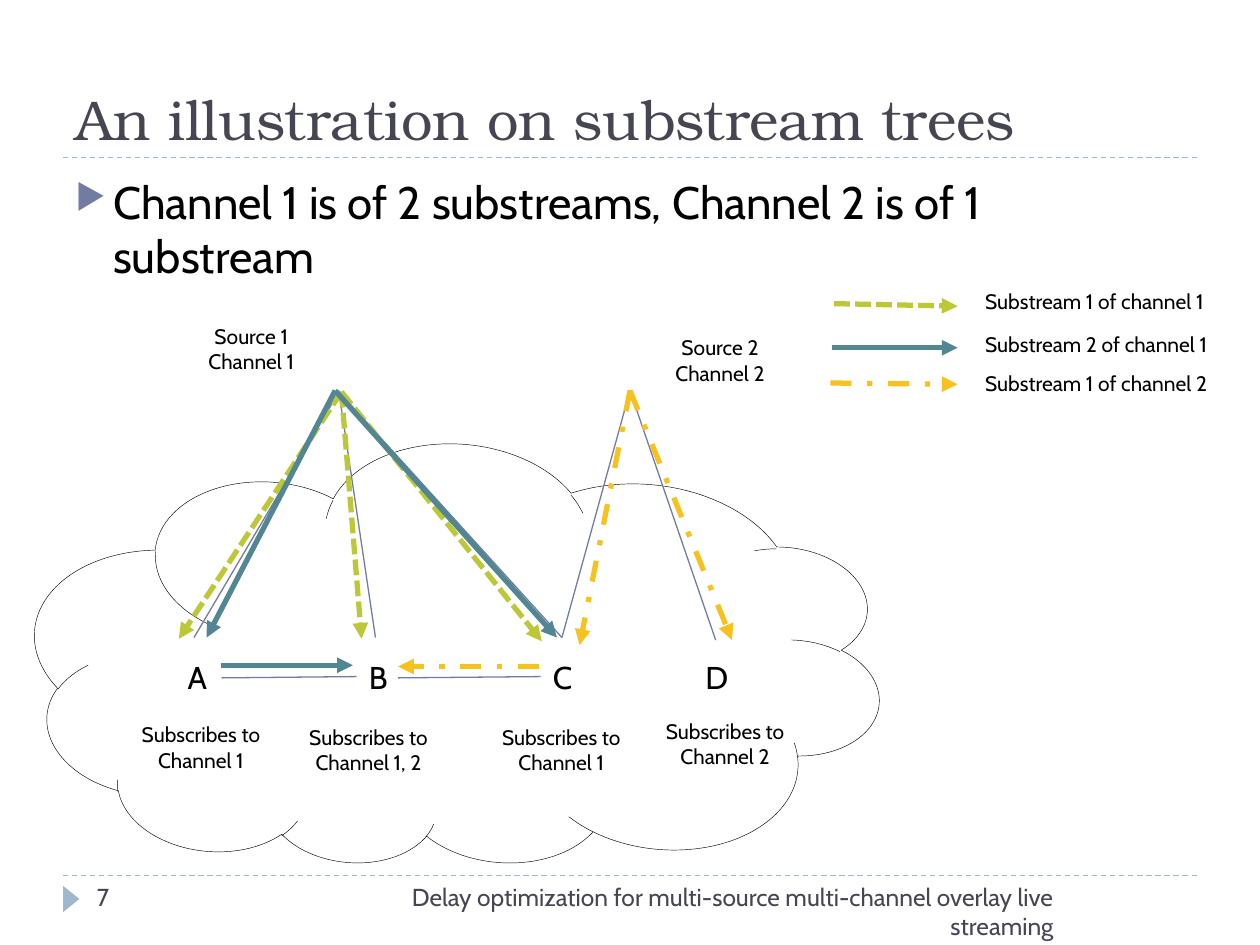
"""Build a slide that shows substream trees over an overlay network."""
from dataclasses import dataclass

from lxml.etree import SubElement
from pptx import Presentation
from pptx.dml.color import RGBColor
from pptx.enum.dml import MSO_LINE as Dash
from pptx.enum.shapes import MSO_CONNECTOR as Connector, MSO_SHAPE as Shape
from pptx.enum.text import MSO_ANCHOR as Anchor, MSO_AUTO_SIZE as AutoSize, PP_ALIGN as Align
from pptx.oxml.ns import qn
from pptx.util import Emu, Pt

PX = 9144


@dataclass(frozen=True)
class Theme:
    heading_font: str = "TeX Gyre Bonum"
    body_font: str = "Cabin"
    title_size: int = 32
    body_size: int = 26
    node_size: int = 18
    footer_size: int = 14
    label_size: int = 12
    heading: str = "464653"
    text: str = "000000"
    paper: str = "FFFFFF"
    rule: str = "9FB8CD"
    accent: str = "727CA3"
    green: str = "BCC838"
    teal: str = "528693"
    yellow: str = "F7C120"


def px(*lengths):
    return [Emu(length * PX) for length in lengths]


class SlideBuilder:
    def __init__(self, slide, theme):
        self.slide = slide
        self.theme = theme

    def text(self, box, content, size, color=None, font=None, align=Align.LEFT,
             anchor=Anchor.TOP, wrap=True, grow=False, bullet=False):
        shape = self.slide.shapes.add_textbox(*px(*box))
        frame = shape.text_frame
        frame.text = content
        frame.word_wrap = wrap
        frame.vertical_anchor = anchor
        frame.auto_size = AutoSize.SHAPE_TO_FIT_TEXT if grow else AutoSize.NONE
        for paragraph in frame.paragraphs:
            paragraph.alignment = align
            if bullet:
                self.add_bullet(paragraph)
            for run in paragraph.runs:
                run.font.name = font or self.theme.body_font
                run.font.size = Pt(size)
                run.font.color.rgb = RGBColor.from_string(color or self.theme.text)
        return shape

    def add_bullet(self, paragraph):
        properties = paragraph._p.get_or_add_pPr()
        indent = 30 * PX
        properties.set("marL", str(indent))
        properties.set("indent", str(-indent))
        color = SubElement(properties, qn("a:buClr"))
        SubElement(color, qn("a:srgbClr"), val=self.theme.accent)
        SubElement(properties, qn("a:buSzPct"), val="76000")
        SubElement(properties, qn("a:buChar"), char="▶")

    def label(self, box, content, align=Align.CENTER):
        return self.text(box, content, self.theme.label_size, align=align, grow=True)

    def shape(self, kind, box, fill, rotation, outline=None):
        shape = self.slide.shapes.add_shape(kind, *px(*box))
        shape.shadow.inherit = False
        shape.rotation = rotation
        shape.fill.solid()
        shape.fill.fore_color.rgb = RGBColor.from_string(fill)
        if outline:
            shape.line.color.rgb = RGBColor.from_string(outline)
            shape.line.width = Pt(0.25)
        else:
            shape.line.fill.background()
        return shape

    def line(self, start, end, color, width=0.75, dash=None, arrow=False):
        line = self.slide.shapes.add_connector(Connector.STRAIGHT, *px(*start, *end))
        line.line.color.rgb = RGBColor.from_string(color)
        line.line.width = Pt(width)
        if dash:
            line.line.dash_style = dash
        properties = line.element.spPr
        if arrow:
            SubElement(properties.find(qn("a:ln")), qn("a:tailEnd"), type="triangle")
        SubElement(properties, qn("a:effectLst"))
        return line

    def stream(self, start, end, style):
        color, dash = style
        return self.line(start, end, color, 3, dash, arrow=True)


def add_frame(builder):
    theme = builder.theme
    for y in (695, 125):
        builder.line((50, y), (950, y), theme.rule, dash=Dash.DASH)
    builder.shape(Shape.ISOSCELES_TRIANGLE, (46, 707, 21, 13), theme.rule, 90)
    builder.text((50, 17, 900, 108), "An illustration on substream trees", theme.title_size,
                 theme.heading, theme.heading_font, anchor=Anchor.BOTTOM)
    builder.text((244, 695, 602, 40),
                 "Delay optimization for multi-source multi-channel overlay live streaming",
                 theme.footer_size, theme.heading, align=Align.RIGHT)
    builder.text((67, 695, 217, 40), "7", theme.footer_size, theme.heading)
    builder.text((50, 133, 900, 57), "Channel 1 is of 2 substreams, Channel 2 is of 1 substream",
                 theme.body_size, bullet=True)


def add_network(builder, styles):
    theme = builder.theme
    builder.label((148, 252, 103, 50), "Source 1\nChannel 1")
    builder.shape(Shape.CLOUD, (27, 354, 672, 338), theme.paper, 184.5, theme.text)

    source_1, source_2 = (269, 311), (500, 310)
    for start, end in ((source_1, (154, 506)), (source_1, (446, 506)), (source_1, (298, 506)),
                       (source_2, (446, 506)), (source_2, (568, 508))):
        builder.line(start, end, theme.accent)
    link_a_b = builder.line((280, 538), (176, 538), theme.accent)
    link_b_c = builder.line((428, 538), (316, 538), theme.accent)

    builder.label((520, 261, 103, 50), "Source 2\nChannel 2")
    for x, y, channels in ((77, 568, "1"), (210, 570, "1, 2"), (363, 570, "1"), (493, 565, "2")):
        builder.label((x, y, 165, 50), f"Subscribes to\nChannel {channels}")

    trees = (
        ("green", (271, 311), ((142, 507), (430, 509), (287, 507))),
        ("teal", (266, 310), ((164, 506), (442, 506))),
        ("teal", (175, 528), ((280, 528),)),
        ("yellow", source_2, ((581, 508), (460, 512))),
        ("yellow", (428, 529), ((316, 529),)),
    )
    for name, start, ends in trees:
        for end in ends:
            builder.stream(start, end, styles[name])

    nodes = {}
    for name, x, width in (("A", 139, 22), ("B", 283, 24), ("C", 429, 24), ("D", 550, 24)):
        nodes[name] = builder.text((x, 517, width, 40), name, theme.node_size,
                                   wrap=False, grow=True)
    link_a_b.begin_connect(nodes["B"], 1)
    link_b_c.begin_connect(nodes["C"], 1)


def add_legend(builder, styles):
    entries = (
        ("yellow", 289, "Substream 1 of channel 2", (659, 304), (760, 305)),
        ("green", 224, "Substream 1 of channel 1", (662, 241), (760, 243)),
        ("teal", 258, "Substream 2 of channel 1", (660, 276), (760, 276)),
    )
    for name, y, content, start, end in entries:
        builder.label((772, y, 221, 30), content, Align.LEFT)
        builder.stream(start, end, styles[name])


def main():
    presentation = Presentation()
    presentation.slide_width, presentation.slide_height = px(1000, 750)
    theme = Theme()
    builder = SlideBuilder(presentation.slides.add_slide(presentation.slide_layouts[6]), theme)
    styles = {
        "green": (theme.green, Dash.SQUARE_DOT),
        "teal": (theme.teal, None),
        "yellow": (theme.yellow, Dash.DASH_DOT),
    }
    add_frame(builder)
    add_network(builder, styles)
    add_legend(builder, styles)
    presentation.save("out.pptx")


if __name__ == "__main__":
    main()
